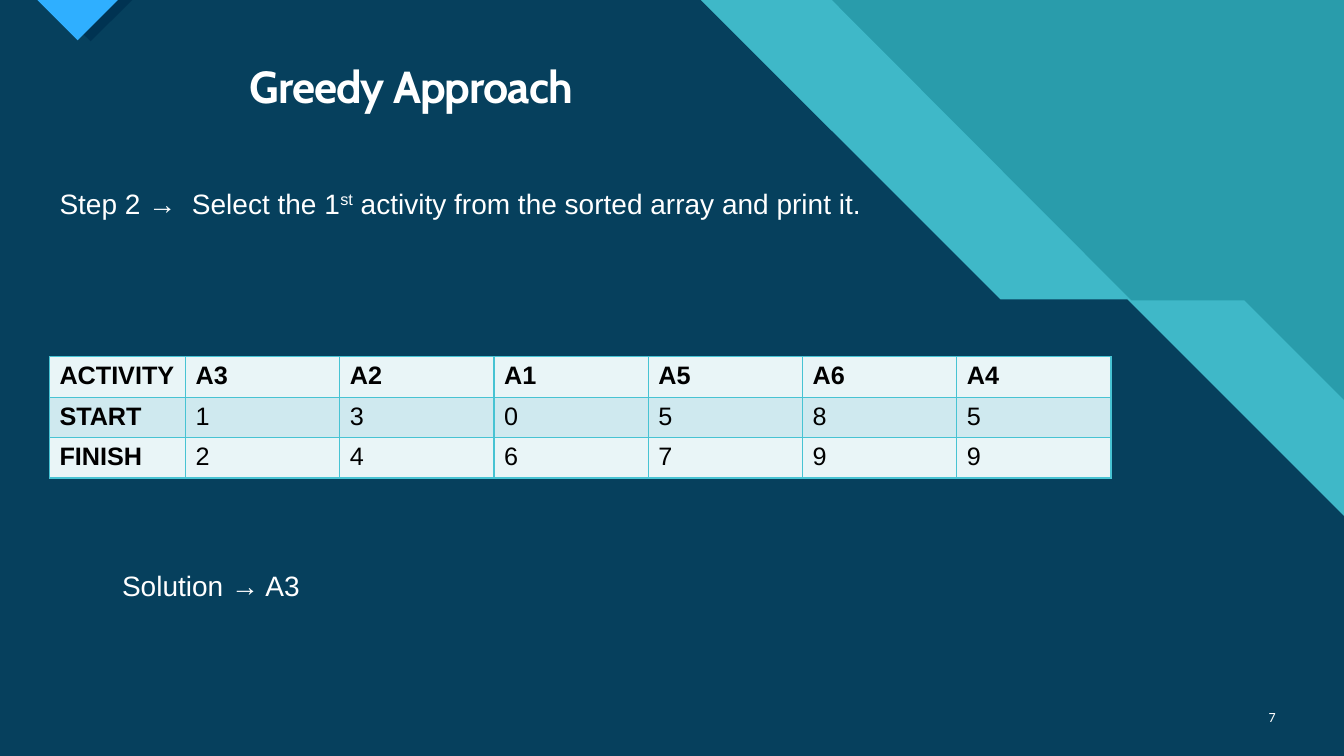
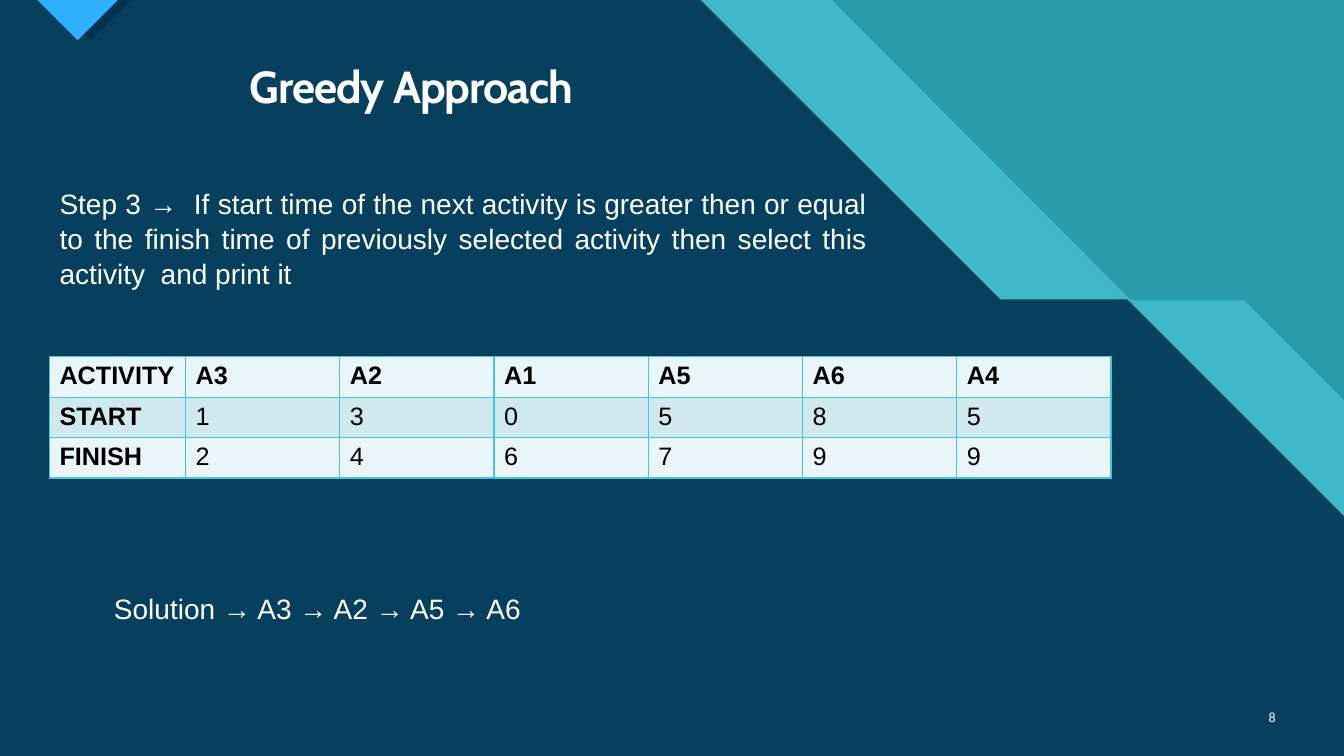
from lxml import etree
from pptx import Presentation
from pptx import util as u
from pptx.dml.color import RGBColor
from pptx.enum import text
from pptx.oxml import ns

WHITE, BLACK = "FFFFFF", "000000"
TEAL, AQUA, NAVY, BLUE = "299CAB", "47C3D3", "003352", "2FAFFF"
PALE, TINT = "E9F5F7", "CFE9EF"

DECOR = [
    (AQUA, 74, [(0, 0), (8.25, 0), (11.22, 2.98), (12.34, 2.98), (13.33, 3.97), (13.33, 7.5), (0, 7.5)]),
    (NAVY, 90, [(0, 0), (6.95, 0), (9.92, 2.97), (11.18, 2.97), (13.33, 5.12), (13.33, 7.5), (0, 7.5)]),
    (NAVY, 100, [(0.48, 0), (1.31, 0), (0.9, 0.41)]),
    (BLUE, 100, [(0.37, 0), (1.17, 0), (0.77, 0.4)]),
]
ACTIVITIES = [
    ["ACTIVITY", "A3", "A2", "A1", "A5", "A6", "A4"],
    ["START", "1", "3", "0", "5", "8", "5"],
    ["FINISH", "2", "4", "6", "7", "9", "9"],
]
PAGES = [
    (
        "7",
        [("Step 2 →  Select the 1", 0), ("st", 30000), (" activity from the sorted array and print it.", 0)],
        "Solution → A3",
        0.62,
        244,
    ),
    (
        "8",
        [
            (
                "Step 3 →  If start time of the next activity is greater then or equal to the finish time "
                "of previously selected activity then select this activity  and print it",
                0,
            )
        ],
        "Solution → A3 → A2 → A5 → A6",
        0.54,
        210,
    ),
]


def rgb(value):
    return RGBColor.from_string(value)


def add_span(para, words, size, name="Arial", color=WHITE, bold=False):
    span = para.add_run()
    span.text = words
    span.font.size = u.Pt(size)
    span.font.name = name
    span.font.bold = bold
    span.font.color.rgb = rgb(color)
    return span


deck = Presentation()
deck.slide_width, deck.slide_height = u.Inches(13.33), u.Inches(7.5)
layout = deck.slide_layouts[1]
layout.background.fill.solid()
layout.background.fill.fore_color.rgb = rgb(TEAL)

for holder, place in zip(layout.placeholders, [(0.49, 0.59, 7.18, 0.59), (0.49, 1.78, 8.21, 4.48)]):
    holder.left, holder.top, holder.width, holder.height = map(u.Inches, place)

pages = [deck.slides.add_slide(layout) for _ in PAGES]

for position, (color, opacity, corners) in enumerate(DECOR, 2):
    points = [(u.Inches(x), u.Inches(y)) for x, y in corners]
    builder = pages[0].shapes.build_freeform(*points[0])
    builder.add_line_segments(points[1:])
    band = builder.convert_to_shape()
    band.shadow.inherit = False
    band.line.fill.background()
    band.fill.solid()
    band.fill.fore_color.rgb = rgb(color)
    if opacity < 100:
        tone = band.element.spPr.find(ns.qn("a:solidFill")).find(ns.qn("a:srgbClr"))
        etree.SubElement(tone, ns.qn("a:alpha"), val=str(opacity * 1000))
    layout.shapes.element.insert(position, band.element)

for page, (number, step, solution, indent, gap) in zip(pages, PAGES):
    title = page.shapes.title.text_frame
    title.auto_size = text.MSO_AUTO_SIZE.NONE
    para = title.paragraphs[0]
    para.alignment = text.PP_ALIGN.CENTER
    para.line_spacing = 0.9
    span = add_span(para, "Greedy Approach", 32, "Cabin", bold=True)
    span.font._element.set("spc", "-70")

    body = page.placeholders[1].text_frame
    body.auto_size = text.MSO_AUTO_SIZE.NONE
    solution_spans = [(solution, 0)]
    for para, spans, margin, before in [
        (body.paragraphs[0], step, 0, 6),
        (body.add_paragraph(), solution_spans, indent, gap),
    ]:
        para.alignment = text.PP_ALIGN.JUSTIFY
        para.line_spacing = 1.05
        para.space_before, para.space_after = u.Pt(before), u.Pt(4)
        properties = para._p.get_or_add_pPr()
        properties.set("marL", str(u.Inches(margin)))
        properties.set("indent", "0")
        etree.SubElement(properties, ns.qn("a:buNone"))
        for words, baseline in spans:
            span = add_span(para, words, 20)
            if baseline:
                span.font._element.set("baseline", str(baseline))

    box = page.shapes.add_textbox(*map(u.Inches, (12.31, 6.91, 0.44, 0.4)))
    box.text_frame.word_wrap = True
    box.text_frame.vertical_anchor = text.MSO_ANCHOR.MIDDLE
    para = box.text_frame.paragraphs[0]
    para.alignment = text.PP_ALIGN.RIGHT
    add_span(para, number, 10, "Calibri")

    table = page.shapes.add_table(3, 7, *map(u.Inches, (0.49, 3.54, 10.51, 1.21))).table
    table.first_row = table.horz_banding = False
    for index, column in enumerate(table.columns):
        column.width = u.Inches(1.53 if index else 1.35)
    for index, row in enumerate(table.rows):
        row.height = u.Inches(0.4 if index else 0.39)
        for place, cell in enumerate(row.cells):
            heading = index == 0 or place == 0
            add_span(cell.text_frame.paragraphs[0], ACTIVITIES[index][place], 18, color=BLACK, bold=heading)
            borders = cell._tc.get_or_add_tcPr()
            for side in ("lnL", "lnR", "lnT", "lnB"):
                line = etree.SubElement(borders, ns.qn("a:" + side), w=str(u.Pt(1)))
                paint = etree.SubElement(line, ns.qn("a:solidFill"))
                etree.SubElement(paint, ns.qn("a:srgbClr"), val=AQUA)
            cell.fill.solid()
            cell.fill.fore_color.rgb = rgb(TINT if index == 1 else PALE)

deck.save("out.pptx")
